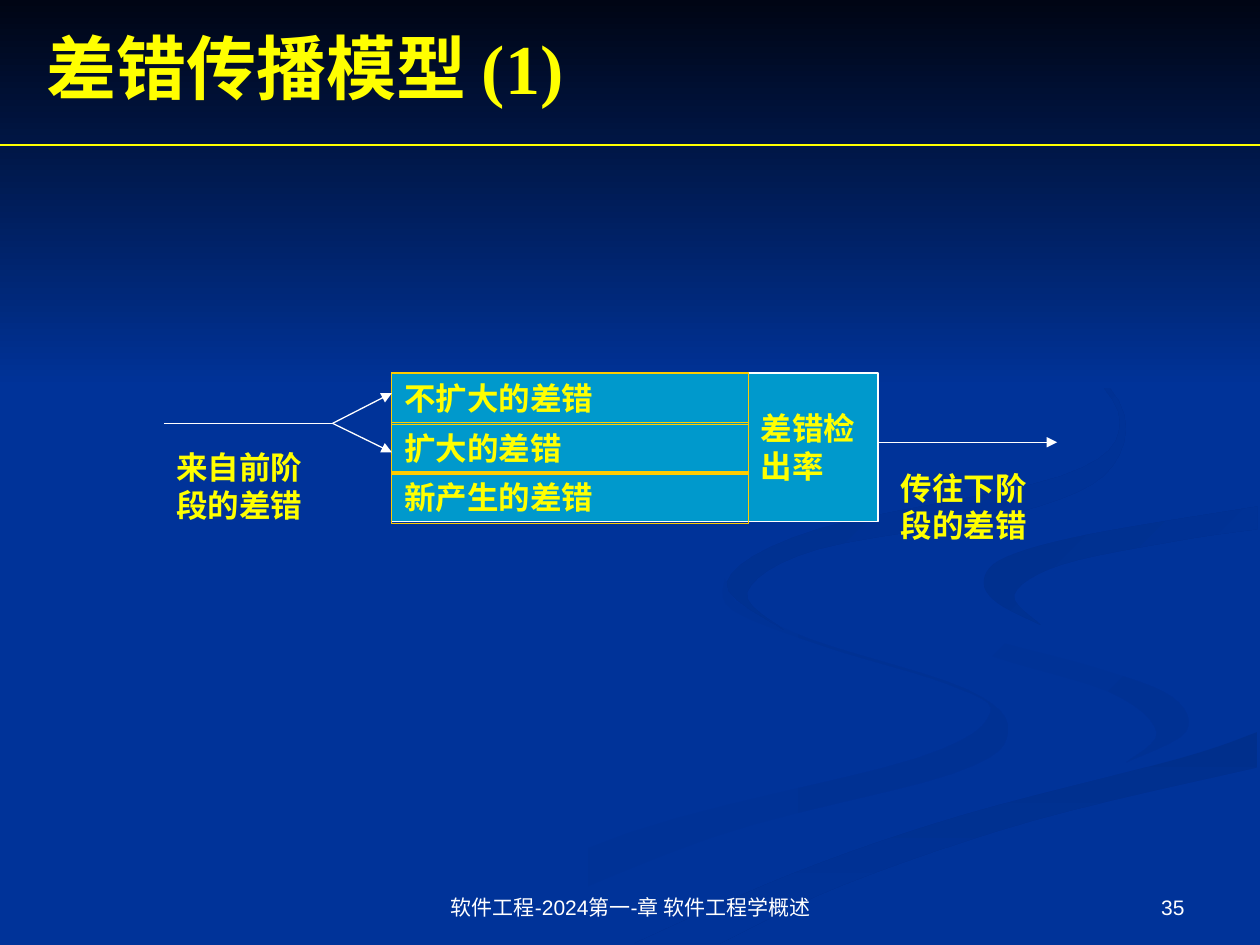
from dataclasses import dataclass

from lxml import etree
from pptx import Presentation
from pptx.dml.color import RGBColor
from pptx.enum.shapes import MSO_CONNECTOR, MSO_SHAPE
from pptx.enum.text import MSO_ANCHOR, MSO_AUTO_SIZE, PP_ALIGN
from pptx.oxml.ns import qn
from pptx.util import Inches, Pt

STRAIGHT = MSO_CONNECTOR.STRAIGHT
RECTANGLE = MSO_SHAPE.RECTANGLE
TOP, MIDDLE, BOTTOM = MSO_ANCHOR.TOP, MSO_ANCHOR.MIDDLE, MSO_ANCHOR.BOTTOM
LEFT, CENTER, RIGHT = PP_ALIGN.LEFT, PP_ALIGN.CENTER, PP_ALIGN.RIGHT
NO_FIT, GROW = MSO_AUTO_SIZE.NONE, MSO_AUTO_SIZE.SHAPE_TO_FIT_TEXT


@dataclass(frozen=True)
class Theme:
    background: str = "003399"
    night: str = "000514"
    ribbon_light: str = "003193"
    ribbon_dark: str = "002F8C"
    module: str = "0099CC"
    yellow: str = "FFFF00"
    gold: str = "FFCC00"
    white: str = "FFFFFF"
    serif: str = "Times New Roman"
    sans: str = "Arial"
    title_size: int = 40
    label_size: int = 18
    footer_size: int = 12
    line_width: float = 0.75


@dataclass(frozen=True)
class Box:
    left: float
    top: float
    width: float
    height: float

    def inside(self, left, top, width, height):
        return Box(self.left + left, self.top + top, width, height)

    def point(self, x, y):
        return Inches(self.left + x), Inches(self.top + y)

    def lengths(self):
        return [Inches(value) for value in (self.left, self.top, self.width, self.height)]


THEME = Theme()
TITLE = dict(name=THEME.serif, size=Pt(THEME.title_size), bold=True, color=THEME.yellow)
LABEL = dict(name=THEME.serif, size=Pt(THEME.label_size), bold=True, color=THEME.yellow)
FOOTER = dict(name=THEME.sans, size=Pt(THEME.footer_size), bold=False, color=THEME.white)

RIBBONS = [
    ((THEME.background, THEME.ribbon_light), 0, [
        [(5.75, 4.59), (5.81, 4.84), (6.54, 5.13), (7.52, 5.43), (7.86, 5.66), (7.27, 6.02), (4.99, 6.61), (3, 7.49)],
        [(3.61, 7.49), (5.64, 6.65), (7.56, 6.14), (8, 5.81), (7.67, 5.47), (6.42, 5.07), (5.83, 4.77)]]),
    ((THEME.background, THEME.ribbon_light), 45, [
        [(7.24, 4.64), (7.58, 4.98), (8.7, 5.3), (9.3, 5.53), (9.41, 5.81), (8.94, 6.05)],
        [(8.94, 6.05), (9.18, 5.81), (8.8, 5.49), (7.66, 5.12), (7.24, 4.64)]]),
    ((THEME.ribbon_dark, THEME.background), 90, [
        [(5.03, 7.49), (6.3, 6.93), (7.64, 6.47), (9.36, 6.02), (9.98, 5.81)],
        [(9.98, 6.09), (8.21, 6.51), (6.7, 7.02), (5.71, 7.49)]]),
    ((THEME.ribbon_dark, THEME.background), 45, [
        [(9.98, 4.02), (8.65, 4.24), (7.99, 4.42), (7.81, 4.6), (7.91, 4.78), (8.26, 4.96)],
        [(8.26, 4.96), (8.05, 4.72), (8.43, 4.48), (9.36, 4.29), (9.98, 4.2)]]),
    ((THEME.ribbon_dark, THEME.background), 45, [
        [(7.62, 2.33), (8.46, 2.79), (8.89, 3.35), (8.42, 3.78), (6.49, 4.2), (5.77, 4.62), (6.22, 5)],
        [(6.22, 5), (5.93, 4.7), (6.49, 4.36), (8.07, 4.07), (8.83, 3.7), (8.8, 3.07), (7.62, 2.33)]]),
]


def rgb(value):
    return RGBColor.from_string(value)


def smooth(knots, steps=6):
    padded = [knots[0], *knots, knots[-1]]
    curve = []
    for before, start, end, after in zip(padded, padded[1:], padded[2:], padded[3:]):
        for step in range(steps):
            t = step / steps
            curve.append(tuple(
                b + t * (c - a + t * (2 * a - 5 * b + 4 * c - d + t * (3 * b - 3 * c + d - a))) / 2
                for a, b, c, d in zip(before, start, end, after)))
    return curve + [knots[-1]]


def paint_gradient(shape, colors, angle):
    shape.shadow.inherit = False
    shape.line.fill.background()
    shape.fill.gradient()
    shape.fill.gradient_angle = (360 - angle) % 360
    for stop, color in zip(shape.fill.gradient_stops, colors):
        stop.color.rgb = rgb(color)


def write(shape, text, style, align=LEFT, anchor=TOP, fit=NO_FIT):
    frame = shape.text_frame
    for name, value in dict(word_wrap=True, vertical_anchor=anchor, auto_size=fit).items():
        setattr(frame, name, value)
    paragraph = frame.paragraphs[0]
    paragraph.text = text
    paragraph.alignment = align
    for name, value in style.items():
        if name == "color":
            paragraph.font.color.rgb = rgb(value)
        else:
            setattr(paragraph.font, name, value)


def add_text(shapes, box, text, style, **layout):
    write(shapes.add_textbox(*box.lengths()), text, style, **layout)


def add_rectangle(shapes, box, line, fill=None):
    shape = shapes.add_shape(RECTANGLE, *box.lengths())
    shape.shadow.inherit = False
    if fill:
        shape.fill.solid()
        shape.fill.fore_color.rgb = rgb(fill)
    else:
        shape.fill.background()
    shape.line.color.rgb = rgb(line)
    shape.line.width = Pt(THEME.line_width)
    return shape


def add_line(shapes, start, end, color, arrow=False):
    connector = shapes.add_connector(STRAIGHT, *start, *end)
    connector.line.color.rgb = rgb(color)
    connector.line.width = Pt(THEME.line_width)
    properties = connector._element.spPr
    if arrow:
        etree.SubElement(properties.find(qn("a:ln")), qn("a:tailEnd"), type="triangle")
    etree.SubElement(properties, qn("a:effectLst"))


def add_backdrop(slide, box):
    shapes = slide.shapes.add_group_shape().shapes
    for colors, angle, edges in RIBBONS:
        points = [box.point(x, y) for edge in edges for x, y in smooth(edge)]
        builder = shapes.build_freeform(*points[0])
        builder.add_line_segments(points[1:], close=True)
        paint_gradient(builder.convert_to_shape(), colors, angle)
    sky = shapes.add_shape(RECTANGLE, *box.inside(0, 0, box.width, 3.08).lengths())
    paint_gradient(sky, (THEME.night, THEME.background), 90)


def add_header(slide, box):
    add_text(slide.shapes, box.inside(0.27, 0.13, 9, 0.79), "差错传播模型 (1)", TITLE, anchor=MIDDLE)
    add_line(slide.shapes, box.point(0, box.height), box.point(box.width, box.height), THEME.yellow)


def add_footer(slide, box):
    add_text(slide.shapes, box.inside(3.75, 0, 2.33, box.height), "35", FOOTER, align=RIGHT, anchor=BOTTOM)
    add_text(slide.shapes, box.inside(0, 0, 3.17, box.height), "软件工程-2024第一-章 软件工程学概述",
             FOOTER, align=CENTER, anchor=BOTTOM)


def add_error_model(slide, box):
    shapes = slide.shapes.add_group_shape().shapes
    module = box.inside(1.81, 0, 3.86, 1.18)
    add_rectangle(shapes, module, THEME.white, THEME.module)
    kinds = ["不扩大的差错", "扩大的差错", "新产生的差错"]
    for index, kind in enumerate(kinds):
        row = module.inside(0, index * module.height / len(kinds), 2.83, 0.41)
        write(add_rectangle(shapes, row, THEME.gold), kind, LABEL, fit=GROW)
    for text, place in [("差错检出率", (4.64, 0.24, 1.02, 0.7)),
                        ("来自前阶段的差错", (0, 0.55, 1.42, 0.7)),
                        ("传往下阶段的差错", (5.75, 0.71, 1.42, 0.7))]:
        add_text(shapes, box.inside(*place), text, LABEL, fit=GROW)
    fork = (1.34, 0.4)
    for start, end, arrow in [((0, 0.4), fork, False), (fork, (1.81, 0.16), True),
                              (fork, (1.81, 0.63), True), ((5.67, 0.55), (7.09, 0.55), True)]:
        add_line(shapes, box.point(*start), box.point(*end), THEME.white, arrow)


def main():
    presentation = Presentation()
    presentation.slide_width, presentation.slide_height = Inches(10), Inches(7.5)
    slide = presentation.slides.add_slide(presentation.slide_layouts[6])
    slide.background.fill.solid()
    slide.background.fill.fore_color.rgb = rgb(THEME.background)
    add_backdrop(slide, Box(0, 0, 10, 7.5))
    add_header(slide, Box(0, 0, 10, 1.15))
    add_footer(slide, Box(3.42, 6.83, 6.08, 0.52))
    add_error_model(slide, Box(1.3, 2.96, 7.17, 1.41))
    presentation.save("out.pptx")


if __name__ == "__main__":
    main()
